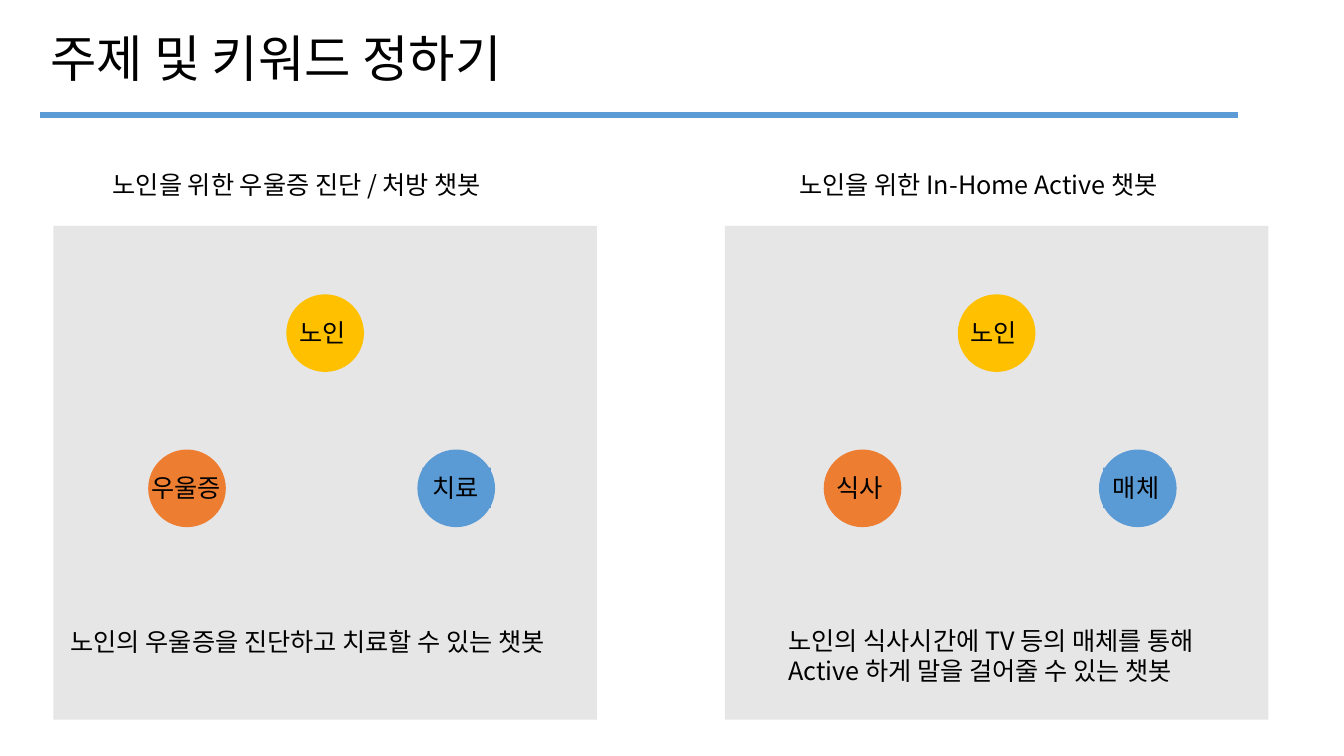
from lxml import etree
from pptx import Presentation, util as u
from pptx.dml.color import RGBColor
from pptx.enum import shapes, text
from pptx.oxml.ns import qn

FONT = "Noto Sans CJK KR"
BLACK = RGBColor(0x00, 0x00, 0x00)
GRAY = RGBColor(0xE7, 0xE6, 0xE6)
BLUE = RGBColor(0x5B, 0x9B, 0xD5)
YELLOW = RGBColor(0xFF, 0xC0, 0x00)
ORANGE = RGBColor(0xED, 0x7D, 0x31)


def add_text(parent, box, lines, size=18):
    sp = parent.add_textbox(*map(u.Inches, box))
    tf = sp.text_frame
    tf.word_wrap = False
    tf.auto_size = text.MSO_AUTO_SIZE.SHAPE_TO_FIT_TEXT
    tf.text = lines
    for p in tf.paragraphs:
        p.font.size = u.Pt(size)
        p.font.name = FONT
        p.font.color.rgb = BLACK
        ea = etree.SubElement(p.font._element, qn("a:ea"))
        ea.set("typeface", FONT)
    return sp


def add_filled(parent, kind, box, color):
    sp = parent.add_shape(kind, *map(u.Inches, box))
    sp.shadow.inherit = False
    sp.fill.solid()
    sp.fill.fore_color.rgb = color
    sp.line.fill.background()
    return sp


prs = Presentation()
prs.slide_width = u.Inches(13.33)
prs.slide_height = u.Inches(7.5)
s = prs.slides.add_slide(prs.slide_layouts[6])

add_text(s.shapes, (0.4, 0.22, 4.99, 0.71), "주제 및 키워드 정하기", 36)
rule = s.shapes.add_connector(
    shapes.MSO_CONNECTOR.STRAIGHT,
    u.Inches(0.4), u.Inches(1.14), u.Inches(12.28), u.Inches(1.14))
rule.line.color.rgb = BLUE
rule.line.width = u.Pt(4.5)
etree.SubElement(rule._element.spPr, qn("a:effectLst"))

topics = [
    (0.53, (1.02, 1.63, 4.2, 0.4), "노인을 위한 우울증 진단 / 처방 챗봇",
     (0.6, 6.16, 5.25, 0.4), "노인의 우울증을 진단하고 치료할 수 있는 챗봇",
     [("노인", 2.84, 2.92, 2.87, 0.71, YELLOW),
      ("우울증", 1.47, 4.46, 1.4, 0.92, ORANGE),
      ("치료", 4.14, 4.46, 4.19, 0.68, BLUE)]),
    (7.19, (7.83, 1.63, 4.1, 0.4), "노인을 위한 In-Home Active 챗봇",
     (7.72, 6.15, 4.63, 0.71),
     "노인의 식사시간에 TV 등의 매체를 통해\nActive 하게 말을 걸어줄 수 있는 챗봇",
     [("노인", 9.5, 2.92, 9.53, 0.71, YELLOW),
      ("식사", 8.17, 4.46, 8.2, 0.68, ORANGE),
      ("매체", 10.9, 4.46, 10.94, 0.68, BLUE)]),
]

for panel_left, heading_box, heading, summary_box, summary, keywords in topics:
    add_text(s.shapes, heading_box, heading)
    add_filled(s.shapes, shapes.MSO_SHAPE.RECTANGLE, (panel_left, 2.24, 5.39, 4.9), GRAY)
    for word, left, top, label_left, label_width, color in keywords:
        group = s.shapes.add_group_shape()
        add_filled(group.shapes, shapes.MSO_SHAPE.OVAL, (left, top, 0.77, 0.77), color)
        label = add_text(group.shapes, (label_left, top + 0.18, label_width, 0.4), word)
        if color == BLUE:
            label.fill.solid()
            label.fill.fore_color.rgb = BLUE
    add_text(s.shapes, summary_box, summary)

prs.save("out.pptx")
